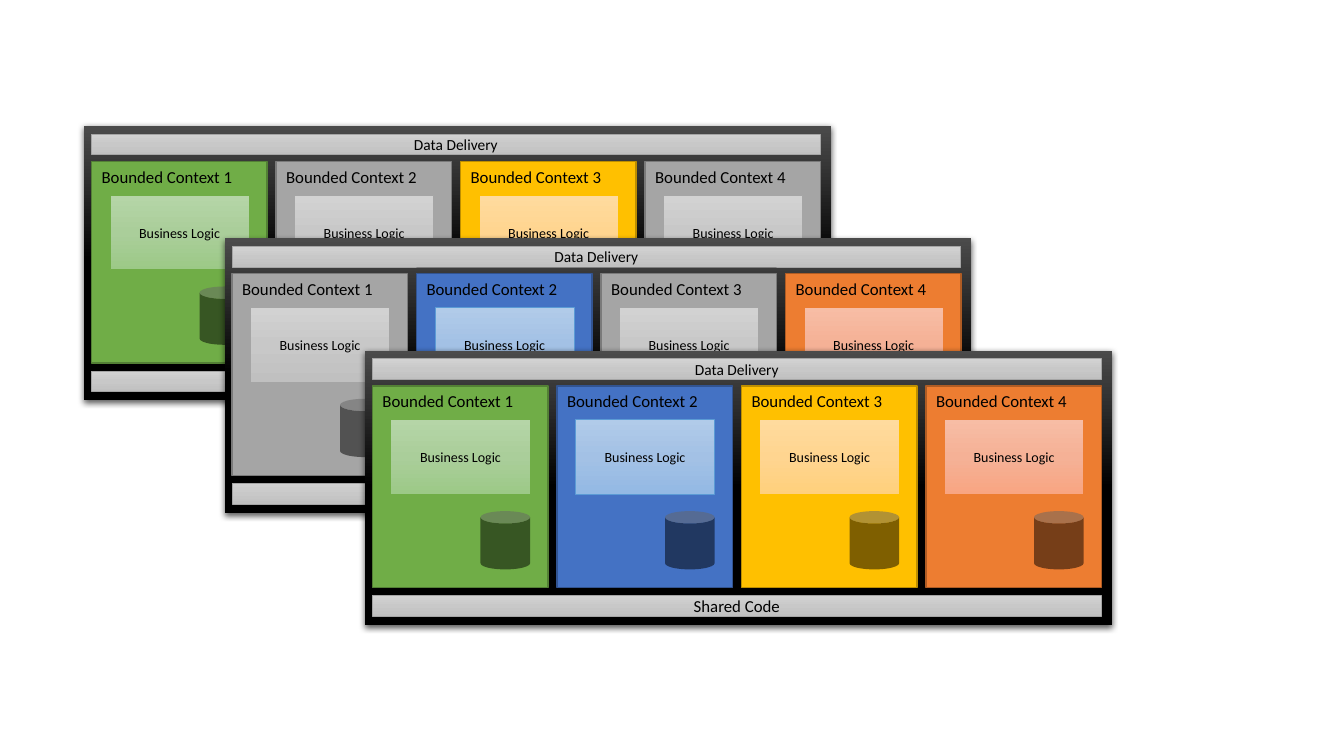
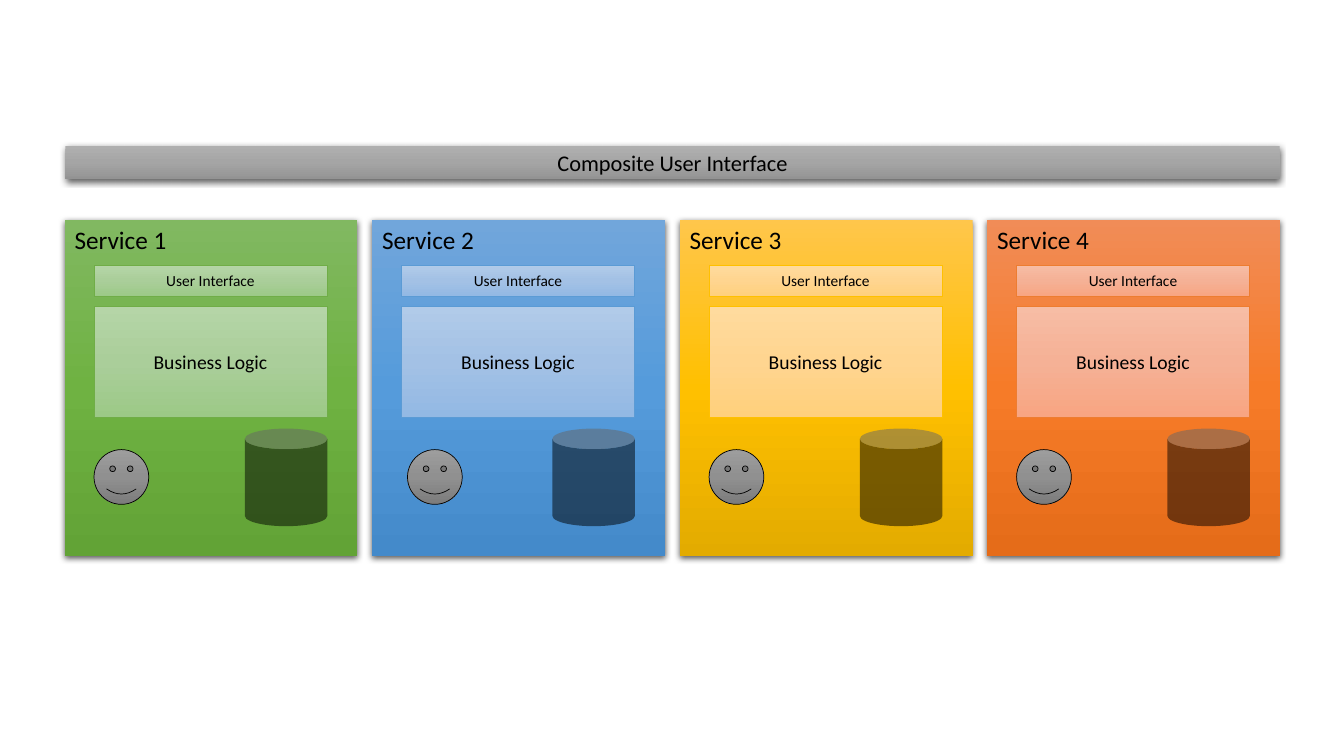
"""Build two architecture slides: stacked bounded contexts and composed services."""
from copy import deepcopy

from lxml.etree import SubElement
from pptx import Presentation
from pptx.dml.color import RGBColor
from pptx.enum.shapes import MSO_SHAPE as Shape
from pptx.enum.text import MSO_ANCHOR as Anchor, PP_ALIGN as Align
from pptx.oxml.ns import qn
from pptx.util import Cm, Pt

rgb = RGBColor.from_string
BLACK = rgb("000000")
FRAME = [rgb("4B4B4B"), BLACK, BLACK]
BANNER = [rgb("AFAFAF"), rgb("A5A5A5"), rgb("939393")]
FACE = [rgb("9D9D9D"), rgb("909090"), rgb("7C7C7C")]

THEMES = {
    "green": {"fill": rgb("70AD47"), "edge": rgb("538035"), "tint_edge": rgb("70AD47"),
              "tint": [rgb("B5D5A7"), rgb("AACE9A"), rgb("9CC987")],
              "service": [rgb("81B861"), rgb("6FB242"), rgb("62A336")]},
    "blue": {"fill": rgb("4472C4"), "edge": rgb("325491"), "tint_edge": rgb("5B9BD5"),
             "tint": [rgb("B1CBE9"), rgb("A3C1E5"), rgb("93B9E4")],
             "service": [rgb("71A6DB"), rgb("559BDB"), rgb("448ACA")]},
    "gold": {"fill": rgb("FFC000"), "edge": rgb("BD8E00"), "tint_edge": rgb("FFC000"),
             "tint": [rgb("FFDB9E"), rgb("FFD590"), rgb("FFD07C")],
             "service": [rgb("FFC64B"), rgb("FFC000"), rgb("E3AB00")]},
    "orange": {"fill": rgb("ED7D31"), "edge": rgb("AF5C24"), "tint_edge": rgb("ED7D31"),
               "tint": [rgb("F7BDA5"), rgb("F5B196"), rgb("F8A582")],
               "service": [rgb("F18C57"), rgb("F67B28"), rgb("E56C19")]},
    "gray": {"fill": rgb("A5A5A5"), "edge": rgb("7A7A7A"), "tint_edge": rgb("A5A5A5"),
             "tint": [rgb("D2D2D2"), rgb("C8C8C8"), rgb("C0C0C0")]},
}

PANELS = [
    ("green", "gray", "gold", "gray"),
    ("gray", "blue", "gray", "orange"),
    ("green", "blue", "gold", "orange"),
]
PANEL_BARS = [("Data Delivery", 11, 0.2), ("Shared Code", 12, 6.17)]
SERVICES = [("green", 0.74), ("blue", 0.89), ("gold", 0.74), ("orange", 0.74)]
SERVICE_PARTS = [("User Interface", 11, 1.14, 0.79), ("Business Logic", 14, 2.18, 2.79)]

PANEL_LEFT, PANEL_TOP, PANEL_STEP_X, PANEL_STEP_Y = 2.12, 3.18, 3.54, 2.83
PANEL_INSET, CONTEXT_OFFSET, CONTEXT_PITCH = 0.19, 0.89, 4.65
SERVICE_LEFT, SERVICE_TOP, SERVICE_PITCH = 1.63, 5.54, 7.75


def set_format(target, values):
    """Set each named attribute on the target."""
    for name, value in values.items():
        setattr(target, name, value)


def paint(shape, colors):
    """Fill with one colour, or with an even vertical gradient."""
    fill = shape.fill
    if isinstance(colors, RGBColor):
        fill.solid()
        fill.fore_color.rgb = colors
        return
    fill.gradient()
    fill.gradient_angle = 270
    stop_list = shape._element.spPr.find(".//" + qn("a:gsLst"))
    stop_list.insert(1, deepcopy(stop_list[0]))
    for index, (stop, color) in enumerate(zip(fill.gradient_stops, colors)):
        stop.position = index / 2
        stop.color.rgb = color


def add_alpha(color, percent):
    """Make a colour element partly transparent."""
    SubElement(color, qn("a:alpha"), val=str(percent * 1000))


def add_shadow(shape):
    """Add a soft shadow below the shape."""
    effects = shape._element.spPr.find(qn("a:effectLst"))
    shadow = SubElement(effects, qn("a:outerShdw"), blurRad=str(Pt(4.5)),
                        dist=str(Pt(1.5)), dir="5400000", algn="ctr", rotWithShape="0")
    add_alpha(SubElement(shadow, qn("a:srgbClr"), val=str(BLACK)), 63)


def add_block(shapes, box, colors, edge=None, edge_width=0.5, kind=Shape.RECTANGLE):
    """Add a filled shape, outlined only when an edge colour is given."""
    shape = shapes.add_shape(kind, *map(Cm, box))
    shape.shadow.inherit = False
    paint(shape, colors)
    if edge is None:
        shape.line.fill.background()
    else:
        shape.line.color.rgb = edge
        shape.line.width = Pt(edge_width)
    return shape


def write(shape, text, size, align=Align.CENTER, anchor=Anchor.MIDDLE):
    """Write one line of black text in a shape."""
    frame = shape.text_frame
    set_format(frame, {"word_wrap": True, "vertical_anchor": anchor})
    paragraph = frame.paragraphs[0]
    paragraph.alignment = align
    run = paragraph.add_run()
    run.text = text
    set_format(run.font, {"name": "Calibri", "size": Pt(size)})
    run.font.color.rgb = BLACK


def add_tinted(shapes, box, theme, text, size):
    """Add a pale labelled block."""
    write(add_block(shapes, box, theme["tint"], theme["tint_edge"]), text, size)


def add_database(shapes, box):
    """Add a half-transparent black cylinder."""
    can = add_block(shapes, box, BLACK, kind=Shape.CAN)
    add_alpha(can._element.spPr.find(".//" + qn("a:srgbClr")), 50)


def add_context(shapes, left, top, theme, title):
    """Add one bounded context with its logic and database."""
    context = add_block(shapes, (left, top, 4.42, 5.08), theme["fill"], theme["edge"], 1)
    write(context, title, 12, Align.LEFT, Anchor.TOP)
    add_tinted(shapes, (left + 0.46, top + 0.85, 3.51, 1.88), theme, "Business Logic", 10)
    add_database(shapes, (left + 2.72, top + 3.15, 1.25, 1.47))


def add_panel(slide, left, top, names):
    """Add one grouped panel of four bounded contexts."""
    shapes = slide.shapes.add_group_shape().shapes
    add_shadow(add_block(shapes, (left, top, 18.82, 6.91), FRAME))
    inner_left = left + PANEL_INSET
    for index, name in enumerate(names):
        add_context(shapes, inner_left + index * CONTEXT_PITCH, top + CONTEXT_OFFSET,
                    THEMES[name], f"Bounded Context {index + 1}")
    for text, size, offset in PANEL_BARS:
        add_tinted(shapes, (inner_left, top + offset, 18.36, 0.52), THEMES["gray"], text, size)


def add_service(shapes, left, theme, title, face_offset):
    """Add one service with its interface, logic, user and database."""
    top = SERVICE_TOP
    service = add_block(shapes, (left, top, 7.38, 8.48), theme["service"])
    add_shadow(service)
    write(service, title, 18, Align.LEFT, Anchor.TOP)
    for text, size, offset, height in SERVICE_PARTS:
        add_tinted(shapes, (left + 0.74, top + offset, 5.87, height), theme, text, size)
    add_database(shapes, (left + 4.54, top + 5.26, 2.08, 2.46))
    add_block(shapes, (left + face_offset, top + 5.79, 1.38, 1.38), FACE, BLACK,
              kind=Shape.SMILEY_FACE)


presentation = Presentation()
set_format(presentation, {"slide_width": Cm(33.87), "slide_height": Cm(19.05)})
blank_layout = presentation.slide_layouts[6]

contexts_slide = presentation.slides.add_slide(blank_layout)
for index, names in enumerate(PANELS):
    add_panel(contexts_slide, PANEL_LEFT + index * PANEL_STEP_X,
              PANEL_TOP + index * PANEL_STEP_Y, names)

services_slide = presentation.slides.add_slide(blank_layout)
for index, (name, face_offset) in enumerate(SERVICES):
    add_service(services_slide.shapes, SERVICE_LEFT + index * SERVICE_PITCH,
                THEMES[name], f"Service {index + 1}", face_offset)
banner = add_block(services_slide.shapes, (1.65, 3.68, 30.6, 0.84), BANNER)
add_shadow(banner)
write(banner, "Composite User Interface", 16)

presentation.save("out.pptx")
